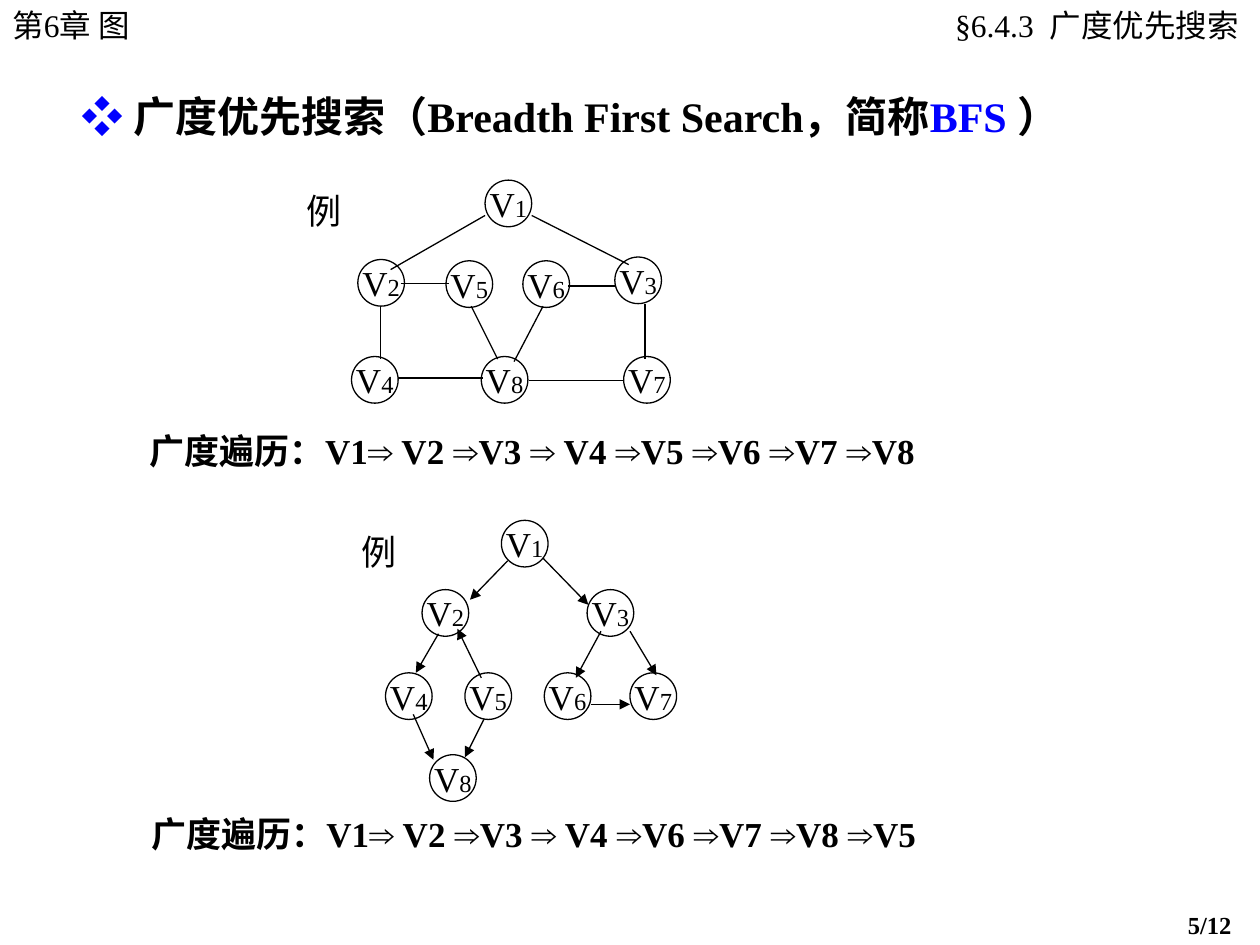
from dataclasses import dataclass

from lxml import etree
from pptx import Presentation
from pptx import util as u
from pptx.dml.color import RGBColor
from pptx.enum import shapes, text
from pptx.oxml.ns import qn

COLS, ROWS = 100, 75  # grid cells on the slide


@dataclass(frozen=True)
class Theme:
    ink: RGBColor = RGBColor(0, 0, 0)
    accent: RGBColor = RGBColor(0, 0, 255)
    serif: str = "Times New Roman"
    sans: str = "Arial"
    heading: int = 24
    body: int = 20
    header: int = 18
    small: int = 14
    line: float = 0.75
    node: float = 3.7


T = Theme()
CELL = u.Inches(10) / COLS

# Nodes: left column and top row. Edges: start and end in columns and rows.
UNDIRECTED = dict(
    nodes={1: (38.5, 14.3), 2: (28.4, 20.6), 3: (48.8, 20.4), 4: (27.9, 28.3),
           5: (35.4, 20.7), 6: (41.5, 20.7), 7: (49.5, 28.3), 8: (38.2, 28.3)},
    edges=[(38.5, 17.1, 31, 21.4), (42.2, 17.1, 49.9, 21),
           (31.8, 22.5, 35.6, 22.5), (45.1, 22.7, 48.9, 22.7),
           (30.2, 24.3, 30.2, 28.5), (31.6, 30, 38.3, 30),
           (42, 30.2, 49.5, 30.2), (51.2, 24.1, 51.2, 28.5),
           (37.4, 24.3, 39.5, 28.5), (43.1, 24.3, 40.8, 28.7)],
    label=(23.3, 14.5), directed=False)
DIRECTED = dict(
    nodes={1: (39.8, 41.3), 2: (33.5, 46.8), 3: (46.6, 46.8), 4: (30.6, 53.4),
           5: (36.9, 53.4), 6: (43.2, 53.4), 7: (50, 53.4), 8: (34.1, 59.9)},
    edges=[(40.3, 44.5, 37.3, 47.6), (43.1, 44.3, 46.7, 48),
           (34.8, 50.3, 33, 53.4), (38.2, 53.8, 36.3, 49.9),
           (32.8, 56.7, 34.4, 60.3), (38.4, 57.1, 36.9, 60.1),
           (47.7, 50.1, 45.7, 53.8), (46.9, 55.9, 50, 55.9),
           (50, 50.1, 52.1, 53.6)],
    label=(27.7, 41.6), directed=True)


def grid(*cells):
    return [round(c * CELL) for c in cells]


def assign(obj, **values):
    for name, value in values.items():
        setattr(obj, name, value)


def write(sp, runs, align=text.PP_ALIGN.LEFT, before=0, wrap=True,
          anchor=text.MSO_ANCHOR.TOP, side=(1, 1)):
    """Fill a shape with one paragraph of (text, font values) runs."""
    tf = sp.text_frame
    left, right = grid(*side)
    edge = grid(0.5)[0]
    assign(tf, word_wrap=wrap, vertical_anchor=anchor, margin_left=left,
           margin_right=right, margin_top=edge, margin_bottom=edge,
           auto_size=text.MSO_AUTO_SIZE.NONE)
    p = tf.paragraphs[0]
    assign(p, alignment=align, space_before=u.Pt(before))
    for words, values in runs:
        r = p.add_run()
        r.text = words
        look = dict(name=T.serif, size=T.body, color=T.ink, bold=False) | values
        r.font.color.rgb = look.pop("color")
        look["size"] = u.Pt(look["size"])
        assign(r.font, **look)


def add_text(parent, box, runs, **layout):
    write(parent.add_textbox(*grid(*box)), runs, **layout)


def add_heading(s):
    sp = s.shapes.title
    left, top, width, height = grid(5.5, 6.7, 87.5, 5)
    assign(sp, left=left, top=top, width=width, height=height)
    base = dict(size=T.heading, bold=True)
    blue = base | dict(color=T.accent)
    write(sp, [("❖ ", blue | dict(name=T.sans)),
               ("广度优先搜索（Breadth First Search，简称", base),
               ("BFS ", blue), ("）", base)])


def add_node(parent, number, col, row):
    sp = parent.add_shape(shapes.MSO_SHAPE.OVAL, *grid(col, row, T.node, T.node))
    sp.shadow.inherit = False
    sp.fill.background()
    sp.line.color.rgb = T.ink
    sp.line.width = u.Pt(T.line)
    write(sp, [("V", {}), (str(number), dict(size=T.small))], wrap=False,
          align=text.PP_ALIGN.CENTER, anchor=text.MSO_ANCHOR.MIDDLE)


def add_edge(parent, ends, directed):
    cx = parent.add_connector(shapes.MSO_CONNECTOR.STRAIGHT, *grid(*ends))
    cx.line.color.rgb = T.ink
    cx.line.width = u.Pt(T.line)
    if directed:
        etree.SubElement(cx.line._get_or_add_ln(), qn("a:tailEnd"), type="triangle")
    etree.SubElement(cx._element.spPr, qn("a:effectLst"))


def add_graph(s, nodes, edges, label, directed):
    group = s.shapes.add_group_shape().shapes
    add_text(group, (*label, 4.8, 4.4), [("例", {})], wrap=False,
             align=text.PP_ALIGN.CENTER, anchor=text.MSO_ANCHOR.MIDDLE)
    for number, (col, row) in nodes.items():
        add_node(group, number, col, row)
    for ends in edges:
        add_edge(group, ends, directed)


def add_route(s, col, row, route):
    """Write a visiting order, with its arrows in the sans font."""
    runs = []
    for i, stop in enumerate(route.split("⇒")):
        if i:
            runs.append(("⇒", dict(name=T.sans, bold=True)))
        runs.append((stop, dict(bold=True)))
    add_text(s.shapes, (col, row, 64.9, 4.4), runs, wrap=False)


def main():
    prs = Presentation()
    assign(prs, slide_width=u.Inches(10), slide_height=u.Inches(7.5))
    s = prs.slides.add_slide(prs.slide_layouts[5])
    header = dict(size=T.header)
    add_text(s.shapes, (0, 0, 17.4, 4), [("第6章 图", header)], before=11.2)
    add_text(s.shapes, (67.2, 0, 32.7, 4), [("§6.4.3  广度优先搜索", header)],
             align=text.PP_ALIGN.RIGHT, before=11.2, side=(1.2, 1.6))
    add_heading(s)
    add_text(s.shapes, (93.3, 71.7, 6.7, 3.4),
             [("5/12", dict(size=T.small, bold=True))], before=8.8)
    add_graph(s, **UNDIRECTED)
    add_route(s, 10.9, 33.6, "广度遍历：V1⇒ V2 ⇒V3 ⇒ V4 ⇒V5 ⇒V6 ⇒V7 ⇒V8")
    add_graph(s, **DIRECTED)
    add_route(s, 11, 64, "广度遍历：V1⇒ V2 ⇒V3 ⇒ V4 ⇒V6 ⇒V7 ⇒V8 ⇒V5")
    prs.save("out.pptx")


if __name__ == "__main__":
    main()
